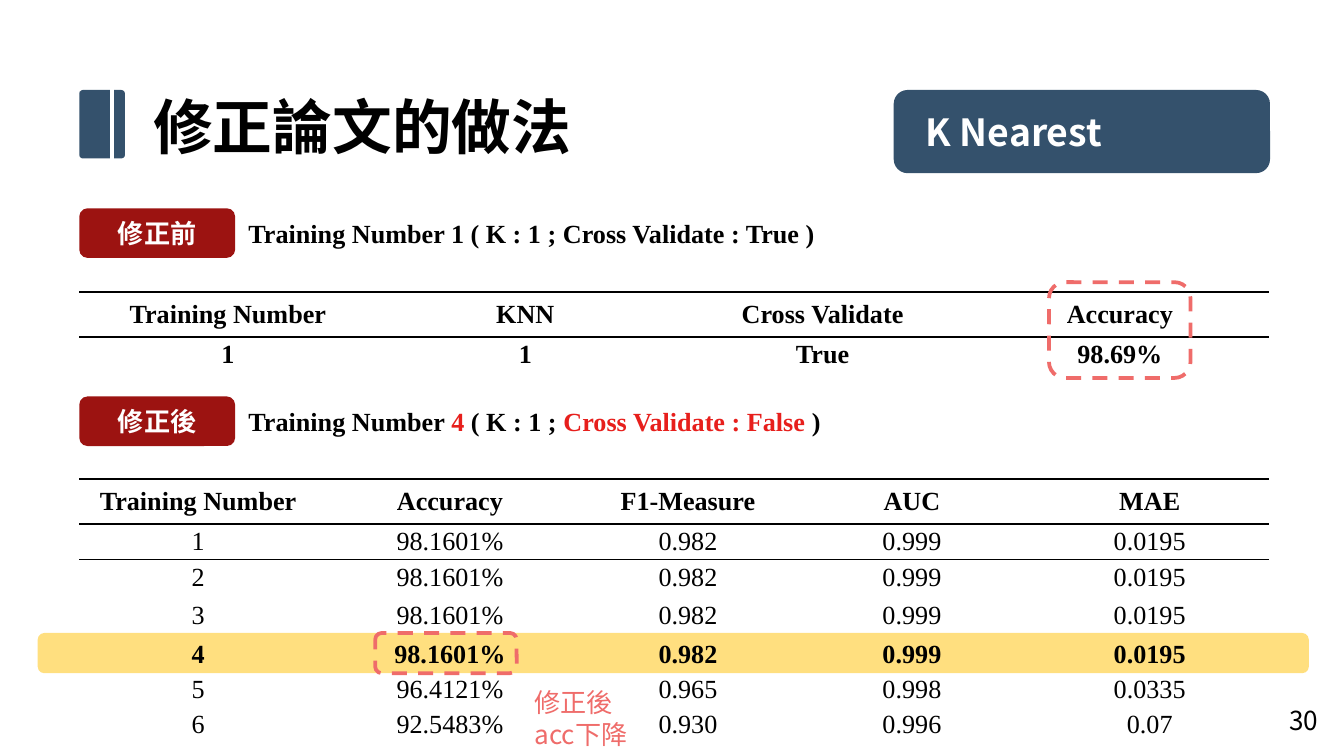
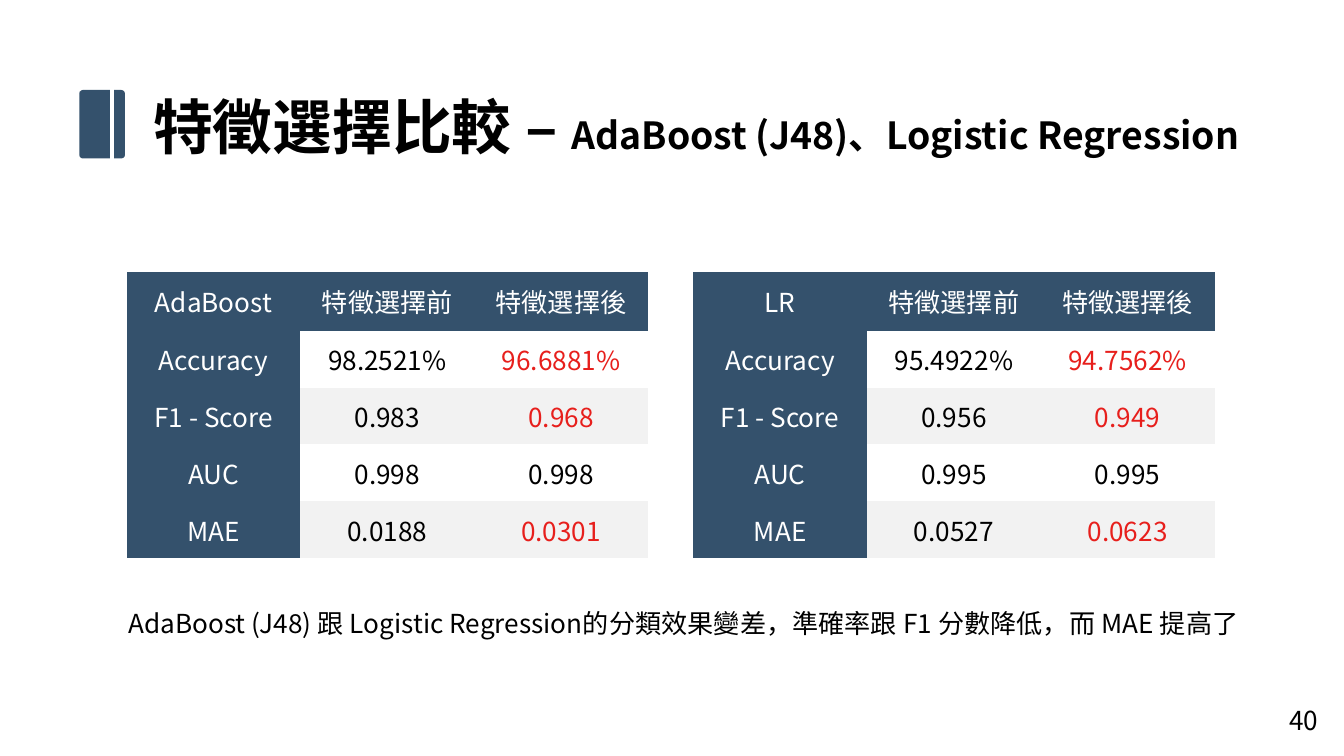
from lxml import etree
from pptx import Presentation
from pptx.dml.color import RGBColor
from pptx.enum.dml import MSO_LINE
from pptx.enum.shapes import MSO_CONNECTOR, MSO_SHAPE
from pptx.enum.text import MSO_ANCHOR, MSO_AUTO_SIZE, PP_ALIGN
from pptx.oxml.ns import qn
from pptx.util import Pt

ROUNDED = MSO_SHAPE.ROUNDED_RECTANGLE
STRAIGHT = MSO_CONNECTOR.STRAIGHT
DASH = MSO_LINE.DASH
LEFT, CENTER = PP_ALIGN.LEFT, PP_ALIGN.CENTER
TOP, MIDDLE = MSO_ANCHOR.TOP, MSO_ANCHOR.MIDDLE
NO_AUTOSIZE = MSO_AUTO_SIZE.NONE

SANS, SERIF = "Noto Sans CJK JP", "Times New Roman"
NAVY, MAROON, RED, CORAL = "34516C", "9C1311", "E71F1C", "EF6C6A"
BLACK, WHITE, STRIPE, AMBER = "000000", "FFFFFF", "F2F2F2", "FFC000"
PLAIN_TABLE = "{2D5ABB26-0587-4C30-8999-92F81FD0307C}"
MARGIN, CONTENT_WIDTH = 42.5, 637.2
TITLE_ONLY = 5


def rgb(color):
    return RGBColor.from_string(color)


def place(left, top, width, height):
    return Pt(left), Pt(top), Pt(width), Pt(height)


def write(frame, *lines, size=14, font=SANS, color=BLACK, bold=False,
          align=LEFT, anchor=TOP):
    """Fill a frame; a line is a string or a list of (text, overrides) runs."""
    frame.word_wrap = True
    frame.vertical_anchor = anchor
    for number, line in enumerate(lines):
        paragraph = frame.add_paragraph() if number else frame.paragraphs[0]
        paragraph.alignment = align
        for text, overrides in [(line, {})] if isinstance(line, str) else line:
            run = paragraph.add_run()
            run.text = text
            run.font.size = Pt(overrides.get("size", size))
            run.font.bold = bold
            run.font.color.rgb = rgb(overrides.get("color", color))
            run.font.name = font
            latin = run.font._element.find(qn("a:latin"))
            east_asian = etree.Element(qn("a:ea"), typeface=font)
            latin.addnext(east_asian)


def add_text(slide, box, *lines, **style):
    frame = slide.shapes.add_textbox(*place(*box)).text_frame
    write(frame, *lines, **style)
    return frame


def add_panel(slide, box, fill, opacity=100, corner=None):
    panel = slide.shapes.add_shape(ROUNDED, *place(*box))
    panel.shadow.inherit = False
    panel.fill.solid()
    panel.fill.fore_color.rgb = rgb(fill)
    panel.line.fill.background()
    if corner is not None:
        panel.adjustments[0] = corner
    if opacity < 100:
        tint = panel._element.spPr.find(".//" + qn("a:srgbClr"))
        etree.SubElement(tint, qn("a:alpha"), val=str(opacity * 1000))
    return panel


def add_dashed_outline(slide, box):
    outline = slide.shapes.add_shape(ROUNDED, *place(*box))
    outline.shadow.inherit = False
    outline.fill.background()
    outline.line.color.rgb = rgb(CORAL)
    outline.line.width = Pt(2)
    outline.line.dash_style = DASH


def add_title(slide, *runs, width=605.5):
    title = slide.shapes.title
    title.left, title.top, title.width, title.height = place(74.9, 44.6, width, 46)
    title.text_frame.auto_size = NO_AUTOSIZE
    write(title.text_frame, list(runs), size=32, bold=True)

    add_panel(slide, (MARGIN, 48.2, 24.5, 36.7), NAVY, corner=0.08)
    divider = slide.shapes.add_connector(STRAIGHT, Pt(60), Pt(43.2), Pt(60), Pt(92.2))
    divider.line.color.rgb = rgb(WHITE)
    divider.line.width = Pt(2)
    etree.SubElement(divider._element.spPr, qn("a:effectLst"))


def add_page_number(slide, number):
    add_text(slide, (676.8, 373.7, 43.2, 31), str(number), align=CENTER)


def add_section(slide, top, label, *heading):
    """Red label with a heading to its right."""
    tag = add_panel(slide, (MARGIN, top, 83.5, 26.6), MAROON)
    write(tag.text_frame, label, color=WHITE, bold=True, align=CENTER, anchor=MIDDLE)
    add_text(slide, (126, top + 1.2, 425.5, 24.5), list(heading),
             font=SERIF, bold=True)


def add_plain_table(slide, left, top, widths, heights):
    table = slide.shapes.add_table(len(heights), len(widths), *place(
        left, top, sum(widths), sum(heights))).table
    table.first_row = table.horz_banding = False
    table._tbl.tblPr.find(qn("a:tableStyleId")).text = PLAIN_TABLE
    for column, width in zip(table.columns, widths):
        column.width = Pt(width)
    for row, height in zip(table.rows, heights):
        row.height = Pt(height)
    return table


def fill_cell(cell, text, fill=None, padding=3.6, **style):
    cell.margin_top = cell.margin_bottom = Pt(padding)
    if fill:
        cell.fill.solid()
        cell.fill.fore_color.rgb = rgb(fill)
    else:
        cell.fill.background()
    write(cell.text_frame, text, align=CENTER, **style)
    cell.vertical_anchor = MIDDLE


def rule_cell(cell, *sides):
    """Draw black rules on the given sides, such as lnT and lnB."""
    properties = cell._tc.get_or_add_tcPr()
    for position, side in enumerate(sides):
        rule = etree.Element(qn("a:" + side), w=str(Pt(1)))
        ink = etree.SubElement(rule, qn("a:solidFill"))
        etree.SubElement(ink, qn("a:srgbClr"), val=BLACK)
        properties.insert(position, rule)


def add_ruled_table(slide, top, widths, heights, rows, bold_row):
    table = add_plain_table(slide, MARGIN, top, widths, heights)
    for r, values in enumerate(rows):
        for c, value in enumerate(values):
            cell = table.cell(r, c)
            fill_cell(cell, value, padding=0 if r else 3.6, font=SERIF,
                      bold=r in (0, bold_row))
            if r == 0:
                rule_cell(cell, "lnT", "lnB")
            elif r == 1:
                rule_cell(cell, "lnT")


def add_comparison_table(slide, left, model, scores):
    """Scores before and after selection; changed scores turn red."""
    rows = [(model, "特徵選擇前", "特徵選擇後")]
    rows += [(metric, *pair) for metric, pair in
             zip(("Accuracy", "F1 - Score", "AUC", "MAE"), scores)]
    table = add_plain_table(slide, left, 145.6, [93.1] * 3, [31.7] + [30.4] * 4)
    for r, values in enumerate(rows):
        for c, value in enumerate(values):
            if r == 0 or c == 0:
                fill, color = NAVY, WHITE
            else:
                fill = None if r % 2 else STRIPE
                color = RED if value != values[1] else BLACK
            fill_cell(table.cell(r, c), value, fill, padding=5, color=color)


def build_correction_slide(slide):
    add_title(slide, ("修正論文的做法", {}), width=400)
    badge = add_panel(slide, (478.8, 48.2, 201.6, 44.6), NAVY)
    badge.text_frame.margin_left = Pt(15)
    write(badge.text_frame, "K Nearest", size=20, color=WHITE, bold=True, anchor=MIDDLE)

    red = {"color": RED}
    add_section(slide, 111.6, "修正前",
                ("Training Number 1 ( K : 1 ; Cross Validate : True )", {}))
    add_section(slide, 212.4, "修正後", ("Training Number ", {}), ("4", red),
                (" ( K : 1 ; ", {}), ("Cross Validate : False ", red), (")", {}))

    add_panel(slide, (20.2, 339.1, 681, 21.6), AMBER, opacity=50)
    after = [
        ("Training Number", "Accuracy", "F1-Measure", "AUC", "MAE"),
        ("1", "98.1601%", "0.982", "0.999", "0.0195"),
        ("2", "98.1601%", "0.982", "0.999", "0.0195"),
        ("3", "98.1601%", "0.982", "0.999", "0.0195"),
        ("4", "98.1601%", "0.982", "0.999", "0.0195"),
        ("5", "96.4121%", "0.965", "0.998", "0.0335"),
        ("6", "92.5483%", "0.930", "0.996", "0.07"),
    ]
    add_ruled_table(slide, 256.7, [127.4, 142.4, 112.6, 127.4, 127.4],
                    [24, 19, 19, 22.3, 19, 19, 19], after, bold_row=4)
    before = [("Training Number", "KNN", "Cross Validate", "Accuracy"),
              ("1", "1", "True", "98.69%")]
    add_ruled_table(slide, 156.5, [CONTENT_WIDTH / 4] * 4, [24, 19], before, bold_row=1)

    add_dashed_outline(slide, (562, 151.2, 75.8, 51.3))
    add_dashed_outline(slide, (201, 339.1, 75.8, 21.6))
    add_text(slide, (279.2, 364.3, 67.7, 40.5), "修正後", "acc下降", color=CORAL)
    add_page_number(slide, 30)


def build_selection_slide(slide):
    add_title(slide, ("特徵選擇比較 – ", {}),
              ("AdaBoost (J48)、Logistic Regression", {"size": 20}))
    add_comparison_table(slide, 67.9, "AdaBoost", [
        ("98.2521%", "96.6881%"), ("0.983", "0.968"),
        ("0.998", "0.998"), ("0.0188", "0.0301")])
    add_comparison_table(slide, 371.4, "LR", [
        ("95.4922%", "94.7562%"), ("0.956", "0.949"),
        ("0.995", "0.995"), ("0.0527", "0.0623")])
    conclusion = add_text(
        slide, (0, 321.8, 720, 24.5),
        "AdaBoost (J48) 跟 Logistic Regression的分類效果變差，"
        "準確率跟 F1 分數降低，而 MAE 提高了", align=CENTER)
    conclusion.margin_left = Pt(19.4)
    add_page_number(slide, 40)


def main():
    deck = Presentation()
    deck.slide_width, deck.slide_height = Pt(720), Pt(405)
    for build in (build_correction_slide, build_selection_slide):
        build(deck.slides.add_slide(deck.slide_layouts[TITLE_ONLY]))
    deck.save("out.pptx")


if __name__ == "__main__":
    main()
